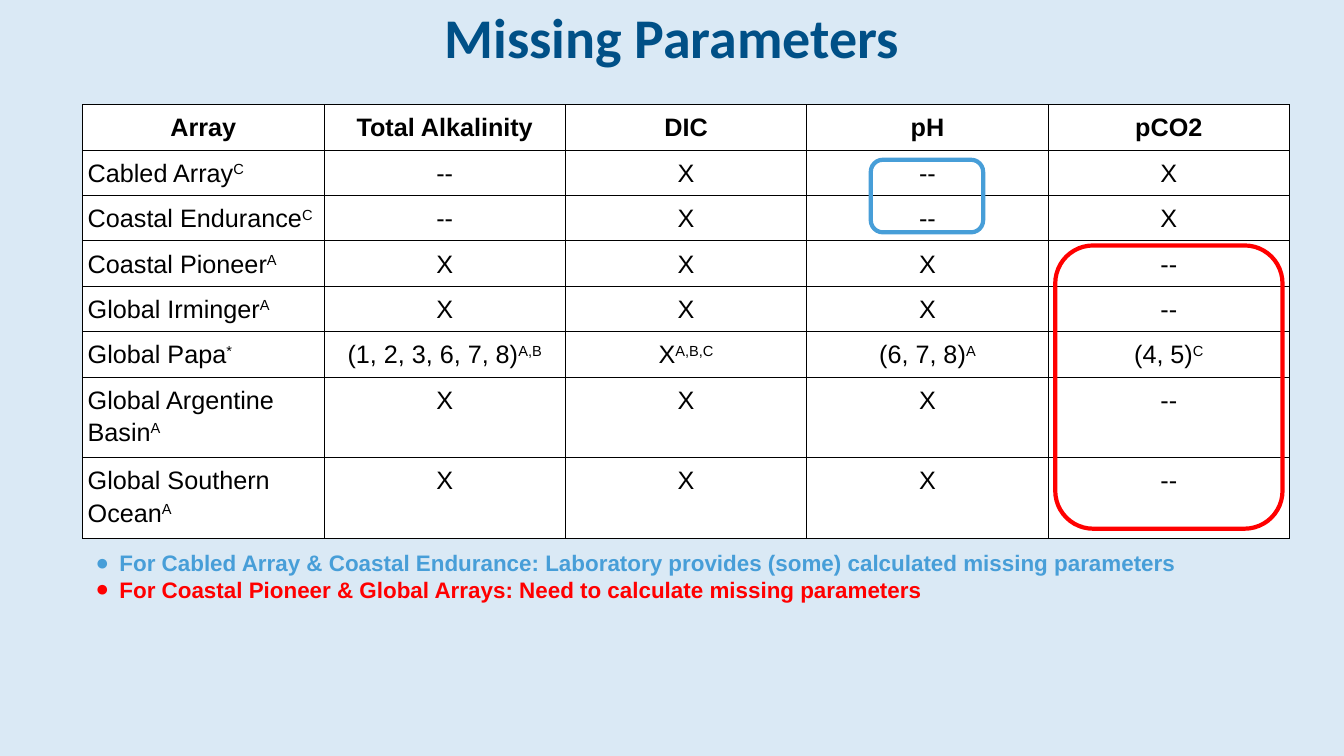
from dataclasses import dataclass

from pptx import Presentation
from pptx.dml.color import RGBColor
from pptx.enum.shapes import MSO_SHAPE
from pptx.enum.text import MSO_ANCHOR, MSO_AUTO_SIZE, PP_ALIGN
from pptx.oxml import parse_xml
from pptx.oxml.ns import nsdecls
from pptx.util import Inches, Pt

CENTER, LEFT = PP_ALIGN.CENTER, PP_ALIGN.LEFT
MIDDLE, TOP = MSO_ANCHOR.MIDDLE, MSO_ANCHOR.TOP
NO_FIT = MSO_AUTO_SIZE.NONE
ROUND = MSO_SHAPE.ROUNDED_RECTANGLE


@dataclass
class Theme:
    page: str = "DAE9F5"
    navy: str = "005087"
    blue: str = "479ED8"
    red: str = "FF0000"
    black: str = "000000"
    white: str = "FFFFFF"
    head: str = "Calibri"
    body: str = "Arial"
    title: int = 80
    cell: int = 36
    note: int = 32


theme = Theme()


def style(run, face, size, color, bold):
    font = run.font
    font.name, font.size, font.bold = face, Pt(size), bold
    font.color.rgb = RGBColor.from_string(color)


def place(shape, left, top, width, height, inset, anchor):
    shape.left, shape.top = Inches(left), Inches(top)
    shape.width, shape.height = Inches(width), Inches(height)
    frame = shape.text_frame
    frame.word_wrap, frame.auto_size = True, NO_FIT
    frame.vertical_anchor = anchor
    frame.margin_left = frame.margin_right = Inches(inset)
    frame.margin_top = frame.margin_bottom = Inches(inset)
    return frame


deck = Presentation()
deck.slide_width, deck.slide_height = Inches(26.67), Inches(15)
slide = deck.slides.add_slide(deck.slide_layouts[1])
slide.background.fill.solid()
slide.background.fill.fore_color.rgb = RGBColor.from_string(theme.page)

frame = place(slide.shapes.title, 2.2, 0, 22.27, 1.44, 0.06, MIDDLE)
frame.text = "Missing Parameters"
para = frame.paragraphs[0]
para.alignment = CENTER
style(para.runs[0], theme.head, theme.title, theme.navy, True)

notes = [
    ("For Cabled Array & Coastal Endurance: Laboratory provides (some) calculated missing parameters", theme.blue),
    ("For Coastal Pioneer & Global Arrays: Need to calculate missing parameters", theme.red),
]
frame = place(slide.placeholders[1], 1.77, 10.79, 23.17, 1.28, 0.1, TOP)
frame.text = "\n".join(text for text, color in notes)
for para, (text, color) in zip(frame.paragraphs, notes):
    para.space_before = Pt(0)
    style(para.runs[0], theme.body, theme.note, color, True)
    props = para._p.get_or_add_pPr()
    props.set("marL", str(Inches(0.5)))
    props.set("indent", str(Inches(-0.47)))
    for tag in (
        f'<a:buClr {nsdecls("a")}><a:srgbClr val="{color}"/></a:buClr>',
        f'<a:buFont {nsdecls("a")} typeface="{theme.body}"/>',
        f'<a:buChar {nsdecls("a")} char="●"/>',
    ):
        props.append(parse_xml(tag))

rows = [
    ["Array", "Total Alkalinity", "DIC", "pH", "pCO2"],
    ["Cabled Array^C", "--", "X", "--", "X"],
    ["Coastal Endurance^C", "--", "X", "--", "X"],
    ["Coastal Pioneer^A", "X", "X", "X", "--"],
    ["Global Irminger^A", "X", "X", "X", "--"],
    ["Global Papa^*", "(1, 2, 3, 6, 7, 8)^A,B", "X^A,B,C", "(6, 7, 8)^A", "(4, 5)^C"],
    ["Global Argentine Basin^A", "X", "X", "X", "--"],
    ["Global Southern Ocean^A", "X", "X", "X", "--"],
]
highs = [0.9] * 6 + [1.6] * 2
wide = 4.79
table = slide.shapes.add_table(
    len(rows), len(rows[0]), Inches(1.64), Inches(2.08),
    Inches(wide * len(rows[0])), Inches(sum(highs)),
).table
table.first_row = table.horz_banding = False
for col in table.columns:
    col.width = Inches(wide)
for r, (row, high) in enumerate(zip(rows, highs)):
    table.rows[r].height = Inches(high)
    for c, text in enumerate(row):
        cell = table.cell(r, c)
        cell.margin_left = cell.margin_right = Inches(0.1)
        cell.margin_top = cell.margin_bottom = Inches(0.1)
        para = cell.text_frame.paragraphs[0]
        para.alignment = LEFT if r and c == 0 else CENTER
        para.line_spacing = 1.15
        for i, part in enumerate(text.split("^")):
            run = para.add_run()
            run.text = part
            style(run, theme.body, theme.cell, theme.black, r == 0)
            if i:
                run._r.get_or_add_rPr().set("baseline", "30000")
        props = cell._tc.get_or_add_tcPr()
        for side in "LRTB":
            props.append(parse_xml(
                f'<a:ln{side} {nsdecls("a")} w="{Pt(1.5)}"><a:solidFill>'
                f'<a:srgbClr val="{theme.black}"/></a:solidFill></a:ln{side}>'
            ))
        cell.fill.solid()
        cell.fill.fore_color.rgb = RGBColor.from_string(theme.white)

for left, top, width, height, color in (
    (20.94, 4.87, 4.51, 5.62, theme.red),
    (17.28, 3.17, 2.23, 1.44, theme.blue),
):
    ring = slide.shapes.add_shape(ROUND, Inches(left), Inches(top), Inches(width), Inches(height))
    ring.shadow.inherit = False
    ring.fill.background()
    ring.line.color.rgb = RGBColor.from_string(color)
    ring.line.width = Pt(6)

deck.save("out.pptx")
